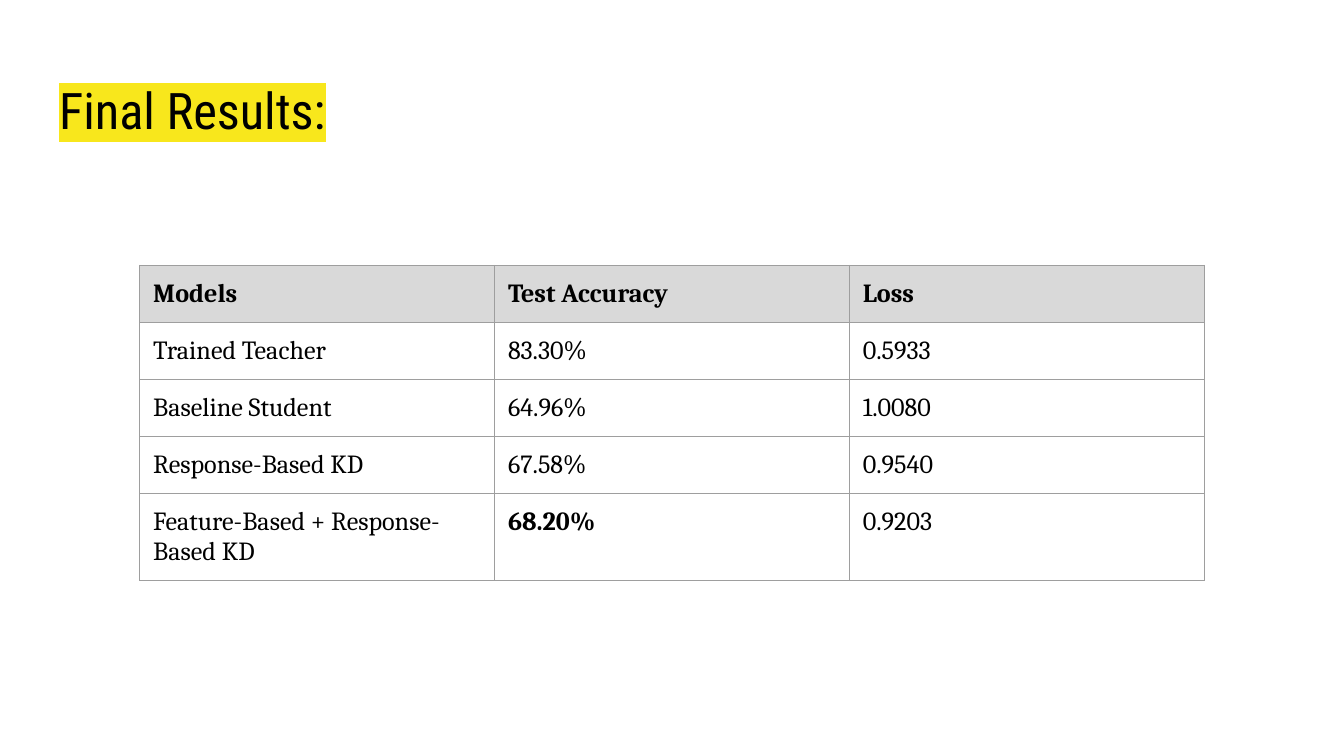
from lxml import etree
from pptx import Presentation
from pptx.dml.color import RGBColor
from pptx.enum.text import MSO_ANCHOR, PP_ALIGN
from pptx.oxml.ns import qn
from pptx.util import Pt

PX = 4572  # 200 px to the inch
TOP = MSO_ANCHOR.TOP
LEFT = PP_ALIGN.LEFT

BLACK = RGBColor(0x00, 0x00, 0x00)
YELLOW = RGBColor(0xF8, 0xE7, 0x1C)
HEADER_GRAY = RGBColor(0xD9, 0xD9, 0xD9)
BORDER_GRAY = RGBColor(0x9E, 0x9E, 0x9E)

TITLE_FORMAT = {"name": "Roboto Condensed", "size": Pt(27), "bold": False}
CELL_FORMAT = {"name": "Cambria", "size": Pt(14)}
MARGINS = {f"margin_{side}": 20 * PX for side in ("left", "right", "top", "bottom")}

COLUMN_WIDTH = 528
ROW_HEIGHT = 84
BEST_ACCURACY = "68.20%"
RESULTS = [
    ("Models", "Test Accuracy", "Loss"),
    ("Trained Teacher", "83.30%", "0.5933"),
    ("Baseline Student", "64.96%", "1.0080"),
    ("Response-Based KD", "67.58%", "0.9540"),
    ("Feature-Based + Response-Based KD", BEST_ACCURACY, "0.9203"),
]


def set_attributes(target, values):
    for name, value in values.items():
        setattr(target, name, value)


def add_color(parent, tag, color):
    """Append a colour-holding element such as a:solidFill or a:highlight."""
    holder = etree.SubElement(parent, qn(tag))
    etree.SubElement(holder, qn("a:srgbClr"), val=str(color))
    return holder


presentation = Presentation()
presentation.slide_width = 2000 * PX
presentation.slide_height = 1125 * PX
slide = presentation.slides.add_slide(presentation.slide_layouts[5])

# Highlighted title
title = slide.shapes.title
set_attributes(title, {"left": 68 * PX, "top": 98 * PX, "width": 1864 * PX, "height": 126 * PX})
set_attributes(title.text_frame, {**MARGINS, "vertical_anchor": TOP, "word_wrap": True})
paragraph = title.text_frame.paragraphs[0]
paragraph.alignment = LEFT
run = paragraph.add_run()
run.text = "Final Results:"
set_attributes(run.font, TITLE_FORMAT)
run.font.color.rgb = BLACK
properties = run._r.get_or_add_rPr()
highlight = add_color(properties, "a:highlight", YELLOW)
properties.find(qn("a:latin")).addprevious(highlight)

# Results table
row_count, column_count = len(RESULTS), len(RESULTS[0])
table = slide.shapes.add_table(
    row_count, column_count, 208 * PX, 395 * PX,
    column_count * COLUMN_WIDTH * PX, row_count * ROW_HEIGHT * PX,
).table
table.horz_banding = False
for column in table.columns:
    column.width = COLUMN_WIDTH * PX
for row in table.rows:
    row.height = ROW_HEIGHT * PX

for row_index, values in enumerate(RESULTS):
    is_header = row_index == 0
    for column_index, value in enumerate(values):
        cell = table.cell(row_index, column_index)
        set_attributes(cell, {**MARGINS, "vertical_anchor": TOP})
        run = cell.text_frame.paragraphs[0].add_run()
        run.text = value
        set_attributes(run.font, CELL_FORMAT)
        run.font.bold = is_header or value == BEST_ACCURACY
        run.font.color.rgb = BLACK

        cell_properties = cell._tc.get_or_add_tcPr()
        for side in ("L", "R", "T", "B"):
            border = etree.SubElement(cell_properties, qn(f"a:ln{side}"), w=str(Pt(0.75)))
            add_color(border, "a:solidFill", BORDER_GRAY)
        if is_header:
            cell.fill.solid()
            cell.fill.fore_color.rgb = HEADER_GRAY
        else:
            cell.fill.background()

presentation.save("out.pptx")
